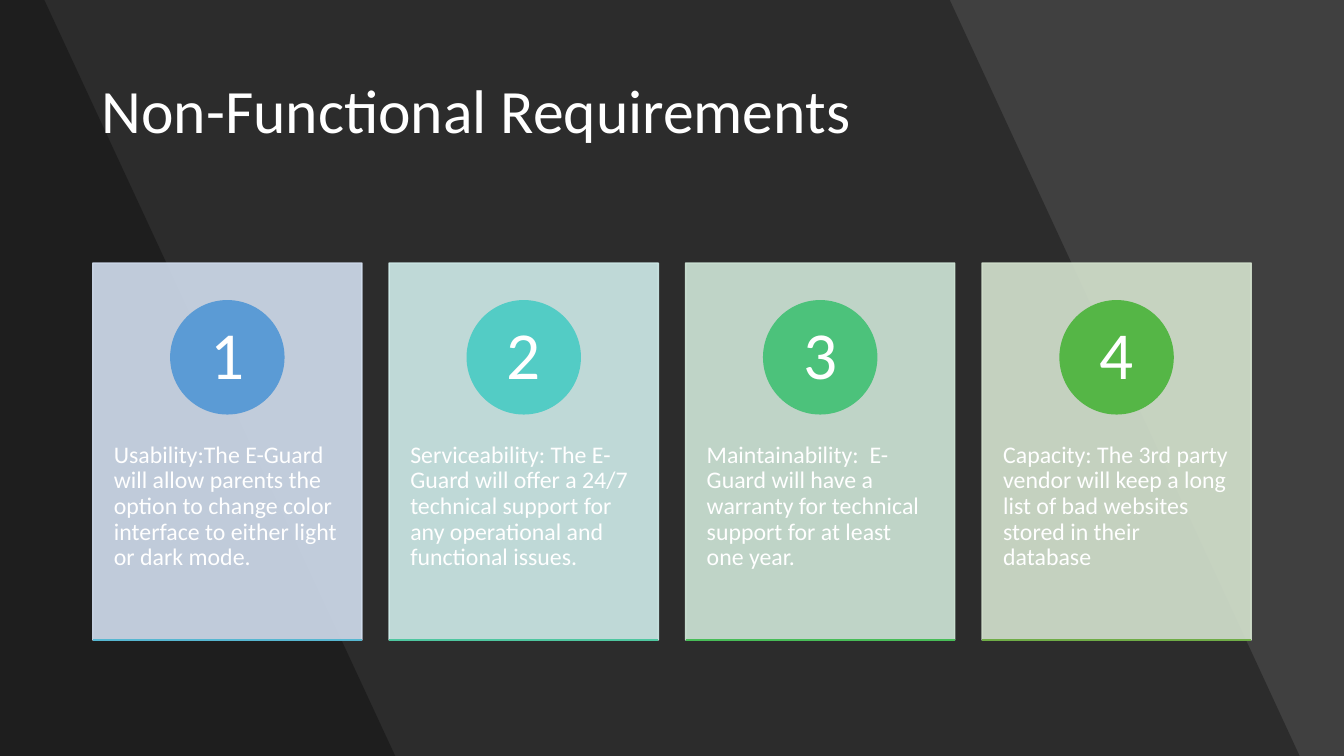
from lxml.etree import SubElement as Sub
from pptx import Presentation
from pptx.dml.color import RGBColor as Rgb
from pptx.enum.shapes import MSO_CONNECTOR as Link, MSO_SHAPE as Form
from pptx.enum.text import MSO_ANCHOR as Anchor, PP_ALIGN as Align
from pptx.oxml.ns import qn
from pptx.util import Inches, Pt

WIDE, HIGH = 13.33, 7.5
HUES = {"back": "404040", "shade": "000000", "text": "FFFFFF"}
CARDS = [
    ("Usability:The E-Guard will allow parents the option to change color "
     "interface to either light or dark mode.", "D2DEEF", "5B9BD5", "57B7D1"),
    ("Serviceability: The E-Guard will offer a 24/7 technical support for any "
     "operational and functional issues.", "D0ECEA", "53CCC5", "4FC7A0"),
    ("Maintainability:  E-Guard will have a warranty for technical support "
     "for at least one year.", "D0E7D8", "4CC27B", "48BD58"),
    ("Capacity: The 3rd party vendor will keep a long list of bad websites "
     "stored in their database", "D5E3CF", "55B646", "70AD47"),
]


class Deck:
    font = "Calibri"
    left, top = 0.92, 2.61
    step, width, height = 2.94, 2.67, 3.74

    def __init__(self):
        self.prs = Presentation()
        self.prs.slide_width, self.prs.slide_height = Inches(WIDE), Inches(HIGH)
        self.slide = self.prs.slides.add_slide(self.prs.slide_layouts[6])
        fill = self.slide.background.fill
        fill.solid()
        fill.fore_color.rgb = Rgb.from_string(HUES["back"])

    def cell(self, col, x, y, w, h):
        """Turn shares of the card in a column into a slide box."""
        return [Inches(v) for v in (
            self.left + col * self.step + x * self.width,
            self.top + y * self.height, w * self.width, h * self.height)]

    def paint(self, shape, hue, alpha=100, edge=True):
        shape.shadow.inherit = False
        shape.fill.solid()
        shape.fill.fore_color.rgb = Rgb.from_string(hue)
        if edge:
            shape.line.color.rgb = Rgb.from_string(hue)
            shape.line.width = Pt(1)
        else:
            shape.line.fill.background()
        if alpha < 100:
            for node in shape.element.spPr.iter(qn("a:srgbClr")):
                Sub(node, qn("a:alpha")).set("val", str(alpha * 1000))

    def band(self, head, foot):
        """Shade the slide from its left side to a slanted edge."""
        spots = [(head, 0), (foot, HIGH), (0, HIGH)]
        pen = self.slide.shapes.build_freeform(0, 0)
        pen.add_line_segments([(Inches(x), Inches(y)) for x, y in spots])
        self.paint(pen.convert_to_shape(), HUES["shade"], 30, edge=False)

    def block(self, form, box, hue, alpha=100):
        self.paint(self.slide.shapes.add_shape(form, *box), hue, alpha)

    def rule(self, box, hue):
        x, y, w, _ = box
        line = self.slide.shapes.add_connector(Link.STRAIGHT, x, y, x + w, y)
        line.line.color.rgb = Rgb.from_string(hue)
        line.line.width = Pt(1)
        Sub(line.element.spPr, qn("a:effectLst"))

    def text(self, box, words, size, pad, anchor=Anchor.MIDDLE, align=Align.LEFT):
        frame = self.slide.shapes.add_textbox(*box).text_frame
        frame.word_wrap = True
        frame.vertical_anchor = anchor
        frame.margin_left = frame.margin_right = Inches(pad[0])
        frame.margin_top = frame.margin_bottom = Inches(pad[1])
        para = frame.paragraphs[0]
        para.alignment, para.line_spacing = align, 0.9
        run = para.add_run()
        run.text = words
        run.font.name, run.font.size = self.font, Pt(size)
        run.font.color.rgb = Rgb.from_string(HUES["text"])

    def card(self, col, words, pale, bold, base):
        self.block(Form.RECTANGLE, self.cell(col, 0, 0, 1, 1), pale, 90)
        self.text(self.cell(col, 0, 0.38, 1, 0.6), words, 17, (0.21, 0.36), Anchor.TOP)
        self.block(Form.OVAL, self.cell(col, 0.29, 0.1, 0.42, 0.3), bold)
        self.text(self.cell(col, 0.35, 0.145, 0.3, 0.21), str(col + 1), 48,
                  (0.09, 0.01), align=Align.CENTER)
        self.rule(self.cell(col, 0, 1, 1, 0), base)


def main():
    deck = Deck()
    deck.band(9.42, 12.89)
    deck.band(0.44, 3.92)
    title = [Inches(v) for v in (0.91, 0.4, 11.51, 1.45)]
    deck.text(title, "Non-Functional Requirements", 44, (0.1, 0.05))
    for col, card in enumerate(CARDS):
        deck.card(col, *card)
    deck.prs.save("out.pptx")


if __name__ == "__main__":
    main()
